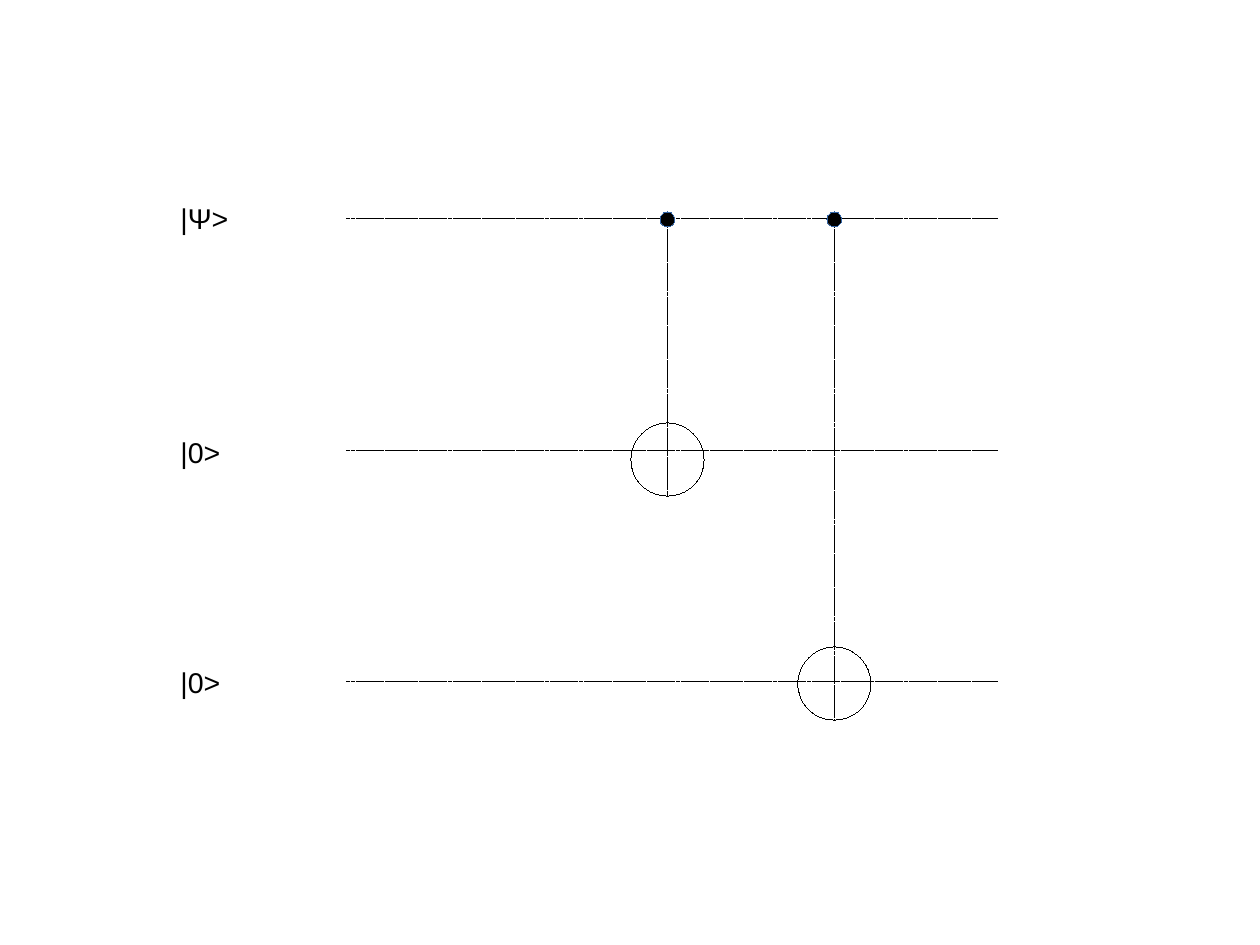
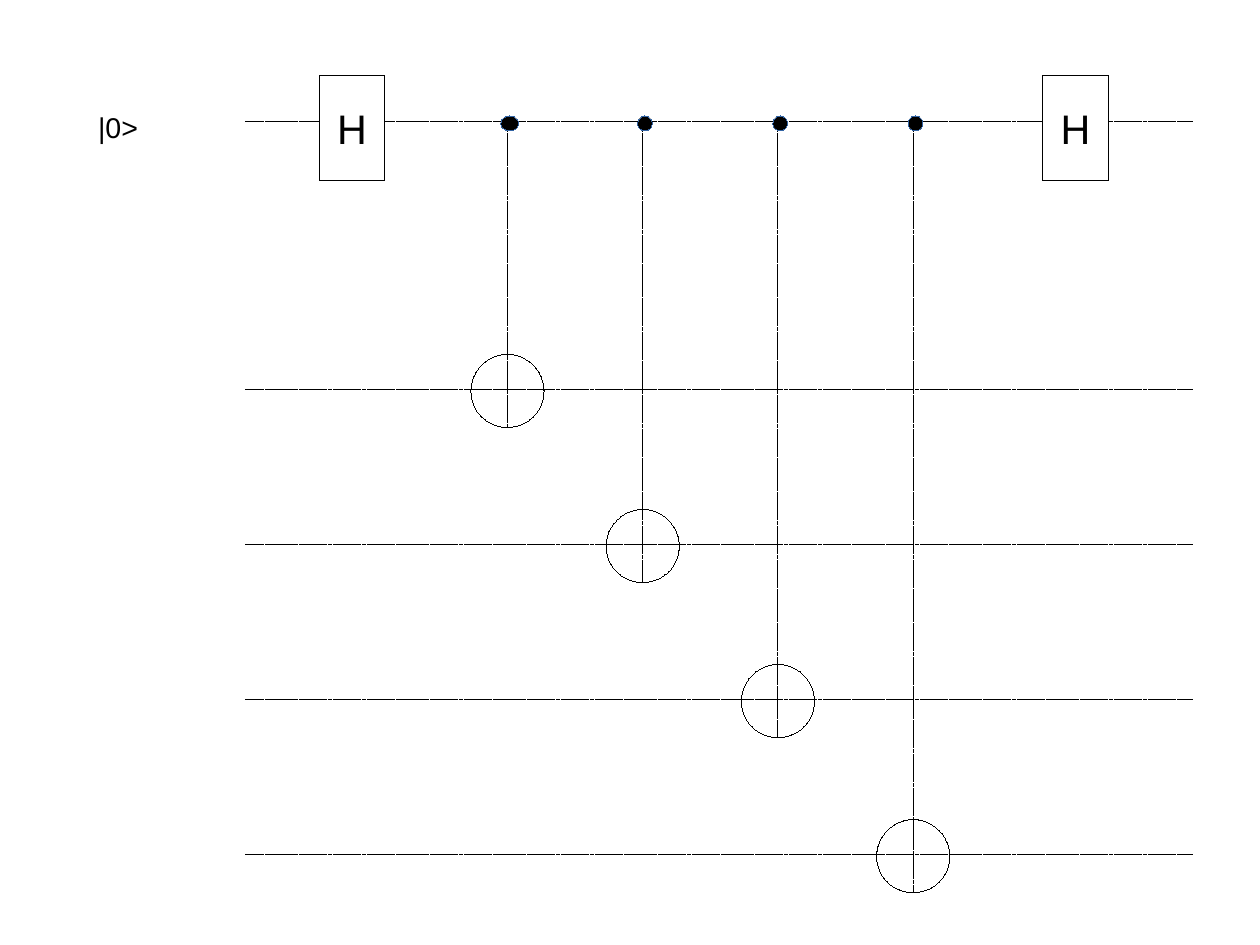
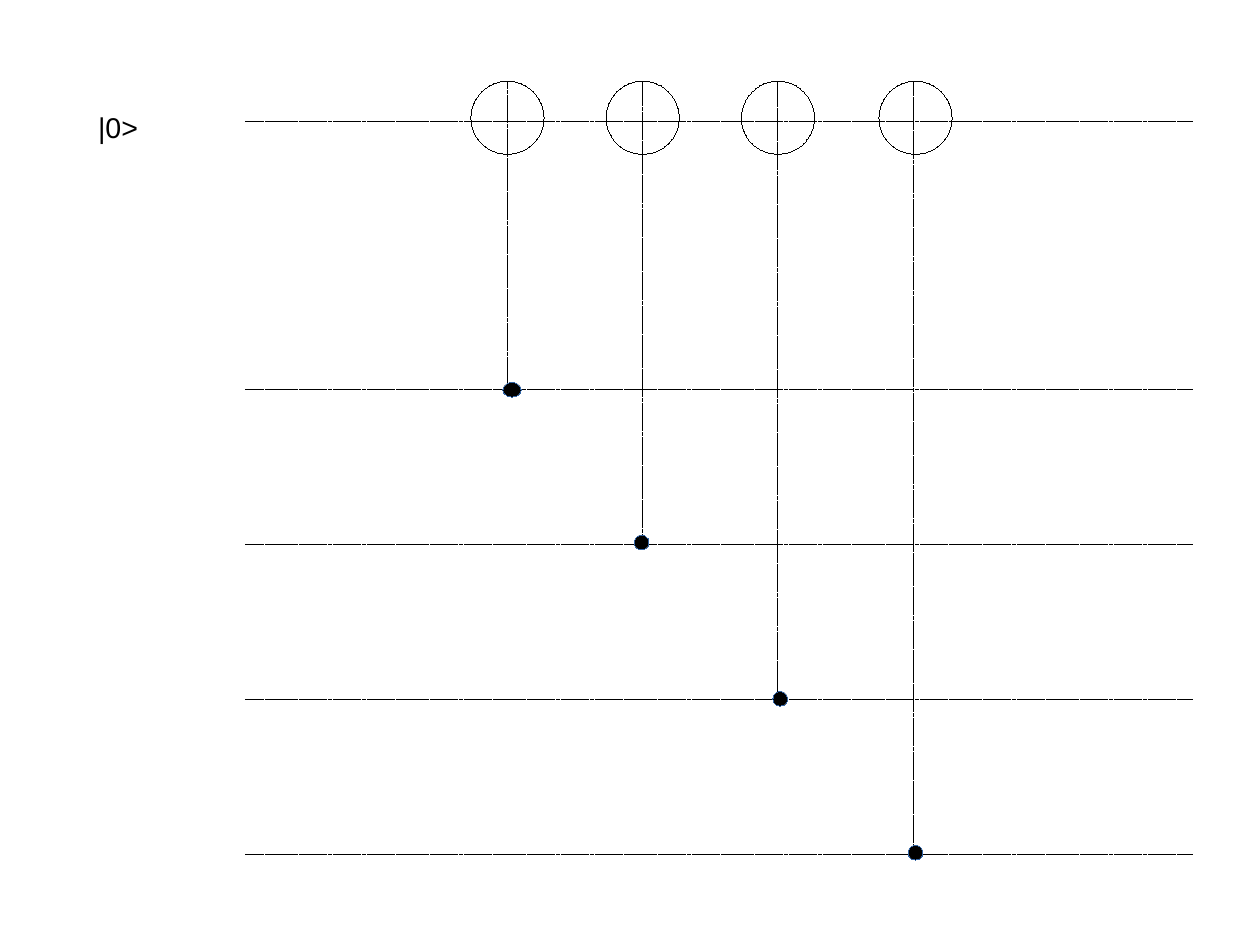
from lxml.etree import SubElement
from pptx import Presentation
from pptx.dml.color import RGBColor
from pptx.enum.dml import MSO_LINE
from pptx.enum.shapes import MSO_CONNECTOR as Connector, MSO_SHAPE as Preset
from pptx.enum.text import MSO_ANCHOR as Anchor, MSO_AUTO_SIZE as AutoSize, PP_ALIGN as Align
from pptx.oxml.ns import qn
from pptx.util import Cm, Inches, Pt

WIDTH, HEIGHT = Cm(28), Cm(21)
FONT = "Arial"
BLACK, WHITE, DOT_EDGE = "000000", "FFFFFF", "3465A4"
RING, DOT, WIDE_DOT = 0.64, 0.13, 0.16
BOX_WIDTH, BOX_HEIGHT = 0.57, 0.92
TOP_WIRE, WIRE_LEFT, WIRE_RIGHT = 1.06, 2.15, 10.43
TARGETS = 4
FIRST_COLUMN, LAST_COLUMN = 4.44, 7.99
FIRST_ROW, LAST_ROW = 3.41, 7.48


def color(value):
    return RGBColor.from_string(value)


def column(index):
    return FIRST_COLUMN + (LAST_COLUMN - FIRST_COLUMN) * index / (TARGETS - 1)


def row(index):
    return FIRST_ROW + (LAST_ROW - FIRST_ROW) * index / (TARGETS - 1)


def write(frame, text, size=18, align=Align.LEFT, anchor=Anchor.TOP, wrap=True):
    frame.word_wrap = wrap
    frame.vertical_anchor = anchor
    paragraph = frame.paragraphs[0]
    paragraph.alignment = align
    run = paragraph.add_run()
    run.text = text
    run.font.name = FONT
    run.font.size = Pt(size)
    run.font.color.rgb = color(BLACK)


def set_hairline(shape, edge):
    shape.line.color.rgb = color(edge)
    shape._element.spPr.find(qn("a:ln")).set("w", "0")


def add_label(slide, text, left, top):
    box = slide.shapes.add_textbox(Inches(left), Inches(top), Inches(1.01), Inches(0.38))
    write(box.text_frame, text)
    box.text_frame.auto_size = AutoSize.SHAPE_TO_FIT_TEXT


def add_dashed(slide, x1, y1, x2, y2):
    connector = slide.shapes.add_connector(
        Connector.STRAIGHT, Inches(x1), Inches(y1), Inches(x2), Inches(y2))
    set_hairline(connector, BLACK)
    connector.line.dash_style = MSO_LINE.SQUARE_DOT
    SubElement(connector._element.spPr, qn("a:effectLst"))


def add_centered(slide, preset, x, y, width, height, fill=None, edge=BLACK):
    shape = slide.shapes.add_shape(
        preset, Inches(x - width / 2), Inches(y - height / 2), Inches(width), Inches(height))
    shape.shadow.inherit = False
    if fill:
        shape.fill.solid()
        shape.fill.fore_color.rgb = color(fill)
    else:
        shape.fill.background()
    set_hairline(shape, edge)
    return shape


def add_controlled_not(slide, x, control, target, dot_shift=0, dot_width=DOT, ring_shift=0):
    reach = RING / 2 if target > control else -RING / 2
    add_dashed(slide, x, control, x, target + reach)
    add_centered(slide, Preset.OVAL, x + ring_shift, target, RING, RING)
    add_centered(slide, Preset.OVAL, x + dot_shift, control, dot_width, DOT, BLACK, DOT_EDGE)


def add_hadamard(slide, x, y):
    box = add_centered(slide, Preset.RECTANGLE, x, y, BOX_WIDTH, BOX_HEIGHT, WHITE)
    write(box.text_frame, "H", size=26, align=Align.CENTER, anchor=Anchor.MIDDLE, wrap=False)


def add_slide(presentation):
    slide = presentation.slides.add_slide(presentation.slide_layouts[6])
    slide.background.fill.solid()
    slide.background.fill.fore_color.rgb = color(WHITE)
    return slide


def add_ancilla_slide(presentation):
    slide = add_slide(presentation)
    add_label(slide, "|0>", 0.76, 0.91)
    for y in [TOP_WIRE] + [row(index) for index in range(TARGETS)]:
        add_dashed(slide, WIRE_LEFT, y, WIRE_RIGHT, y)
    return slide


def build_encoder(presentation):
    slide = add_slide(presentation)
    for text, y, label_top in [("|Ψ>", 1.91, 1.71), ("|0>", 3.94, 3.76), ("|0>", 5.96, 5.77)]:
        add_dashed(slide, 3.03, y, 8.73, y)
        add_label(slide, text, 1.48, label_top)
    add_controlled_not(slide, 5.84, 1.92, 4.02)
    add_controlled_not(slide, 7.3, 1.92, 5.98)


def build_fan_out(presentation):
    slide = add_ancilla_slide(presentation)
    for index, dot_width in enumerate([WIDE_DOT, DOT, DOT, DOT]):
        add_controlled_not(slide, column(index), TOP_WIRE + 0.02, row(index) + 0.01,
                           dot_shift=0.02, dot_width=dot_width)
    for x in (3.08, 9.41):
        add_hadamard(slide, x, TOP_WIRE + 0.06)


def build_parity_check(presentation):
    slide = add_ancilla_slide(presentation)
    gates = [(0.04, 0, WIDE_DOT, 0), (-0.01, -0.02, DOT, 0),
             (0.02, -0.01, DOT, 0), (0.02, -0.02, DOT, 0.02)]
    for index, (dot_shift, lift, dot_width, ring_shift) in enumerate(gates):
        add_controlled_not(slide, column(index), row(index) + lift, TOP_WIRE - 0.03,
                           dot_shift=dot_shift, dot_width=dot_width, ring_shift=ring_shift)


def main():
    presentation = Presentation()
    presentation.slide_width = WIDTH
    presentation.slide_height = HEIGHT
    build_encoder(presentation)
    build_fan_out(presentation)
    build_parity_check(presentation)
    presentation.save("out.pptx")


if __name__ == "__main__":
    main()
